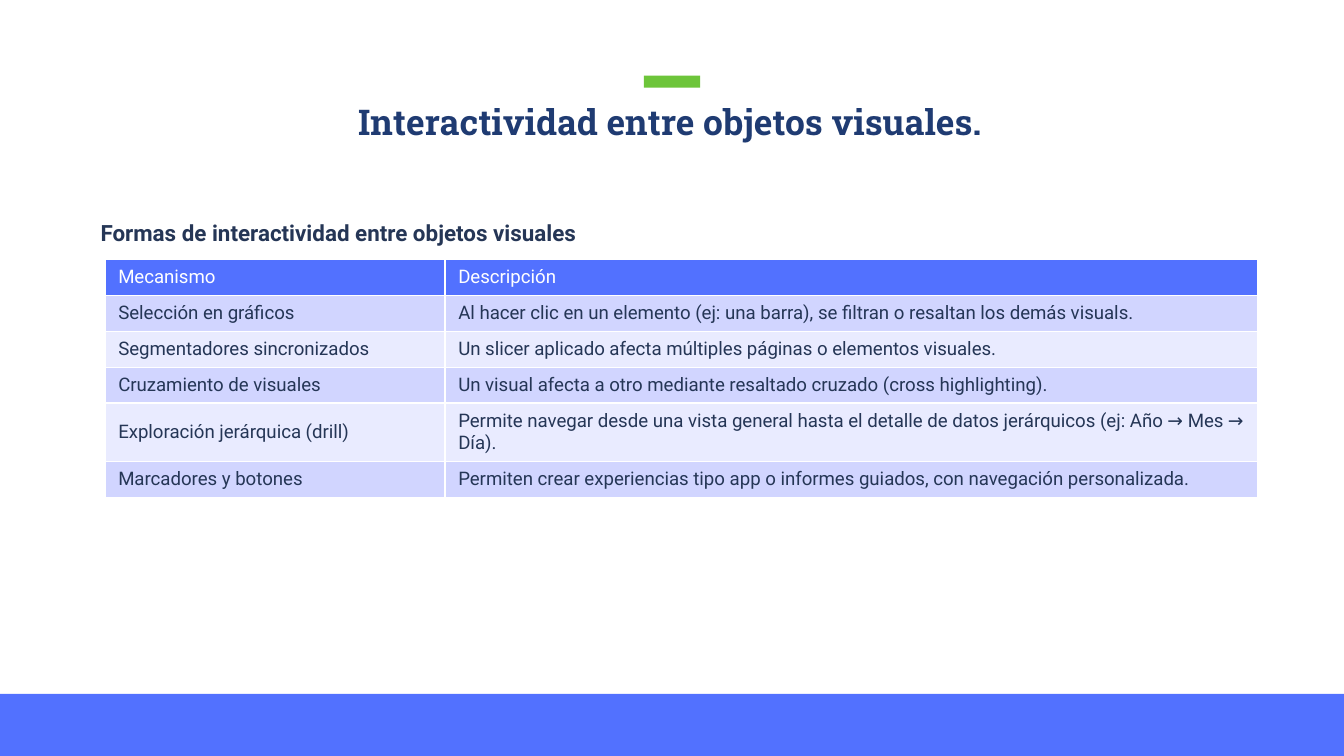
from typing import NamedTuple

from pptx import Presentation
from pptx.dml.color import RGBColor
from pptx.enum.shapes import MSO_SHAPE
from pptx.enum.text import MSO_ANCHOR, MSO_AUTO_SIZE, PP_ALIGN
from pptx.util import Inches, Pt

WIDTH = Inches(10)
HEIGHT = WIDTH * 9 // 16
TITLE_LAYOUT = 5

WHITE = RGBColor(0xFF, 0xFF, 0xFF)
BLUE = RGBColor(0x52, 0x71, 0xFF)
GREEN = RGBColor(0x6D, 0xC5, 0x3A)
NAVY = RGBColor(0x1F, 0x3B, 0x72)
INK = RGBColor(0x25, 0x36, 0x56)
BANDS = (RGBColor(0xE9, 0xEB, 0xFF), RGBColor(0xD1, 0xD5, 0xFF))

ROWS = [
    ("Mecanismo", "Descripción"),
    ("Selección en gráficos",
     "Al hacer clic en un elemento (ej: una barra), se filtran o resaltan los demás visuals."),
    ("Segmentadores sincronizados",
     "Un slicer aplicado afecta múltiples páginas o elementos visuales."),
    ("Cruzamiento de visuales",
     "Un visual afecta a otro mediante resaltado cruzado (cross highlighting)."),
    ("Exploración jerárquica (drill)",
     "Permite navegar desde una vista general hasta el detalle de datos jerárquicos "
     "(ej: Año → Mes → Día)."),
    ("Marcadores y botones",
     "Permiten crear experiencias tipo app o informes guiados, con navegación personalizada."),
]
ROW_WEIGHTS = (1, 1, 1, 1, 1.62, 1)
COLUMN_WEIGHTS = (2.53, 6.05)


class Box(NamedTuple):
    left: int
    top: int
    width: int
    height: int


def grid_box(left, top, width, height):
    """Box on a grid of 100 columns by 100 rows over the page."""
    return Box(int(left * WIDTH / 100), int(top * HEIGHT / 100),
               int(width * WIDTH / 100), int(height * HEIGHT / 100))


def split(length, weights):
    return [int(length * weight / sum(weights)) for weight in weights]


def style_font(para, name, size, color, bold=False):
    font = para.font
    font.name, font.size, font.bold = name, Pt(size), bold
    font.color.rgb = color


def add_title(page, box, text):
    title = page.shapes.title
    title.left, title.top, title.width, title.height = box
    frame = title.text_frame
    frame.text = text
    frame.word_wrap = True
    frame.auto_size = MSO_AUTO_SIZE.SHAPE_TO_FIT_TEXT
    frame.vertical_anchor = MSO_ANCHOR.TOP
    frame.margin_left = frame.margin_right = frame.margin_top = frame.margin_bottom = 0
    para = frame.paragraphs[0]
    para.alignment = PP_ALIGN.CENTER
    para.line_spacing = Pt(19.3)
    style_font(para, "Roboto Slab", 19, NAVY, bold=True)


def add_bar(page, box, color):
    bar = page.shapes.add_shape(MSO_SHAPE.RECTANGLE, *box)
    bar.shadow.inherit = False
    bar.fill.solid()
    bar.fill.fore_color.rgb = color
    bar.line.fill.background()


def add_subtitle(page, box, text):
    frame = page.shapes.add_textbox(*box).text_frame
    frame.word_wrap = True
    frame.auto_size = MSO_AUTO_SIZE.SHAPE_TO_FIT_TEXT
    frame.text = text
    style_font(frame.paragraphs[0], "Roboto", 12, INK, bold=True)


def add_mechanism_table(page, box):
    table = page.shapes.add_table(len(ROWS), len(COLUMN_WEIGHTS), *box).table
    for column, width in zip(table.columns, split(box.width, COLUMN_WEIGHTS)):
        column.width = width
    heights = split(box.height, ROW_WEIGHTS)
    for index, (row, height, texts) in enumerate(zip(table.rows, heights, ROWS)):
        row.height = height
        fill, ink = (BANDS[index % 2], INK) if index else (BLUE, WHITE)
        for cell, text in zip(row.cells, texts):
            cell.text = text
            cell.vertical_anchor = MSO_ANCHOR.MIDDLE
            cell.fill.solid()
            cell.fill.fore_color.rgb = fill
            style_font(cell.text_frame.paragraphs[0], "Roboto", 10, ink)


def main():
    deck = Presentation()
    deck.slide_width, deck.slide_height = WIDTH, HEIGHT
    page = deck.slides.add_slide(deck.slide_layouts[TITLE_LAYOUT])
    page.background.fill.solid()
    page.background.fill.fore_color.rgb = WHITE

    add_title(page, grid_box(7.8, 14.1, 84.1, 4.8), "Interactividad entre objetos visuales.")
    add_bar(page, grid_box(0, 91.8, 100, 8.2), BLUE)
    add_bar(page, grid_box(47.9, 10, 4.2, 1.6), GREEN)
    add_subtitle(page, grid_box(6.5, 28.1, 83.4, 5.33),
                 "Formas de interactividad entre objetos visuales")
    add_mechanism_table(page, grid_box(7.8, 34.33, 85.8, 31.5))
    deck.save("out.pptx")


if __name__ == "__main__":
    main()
